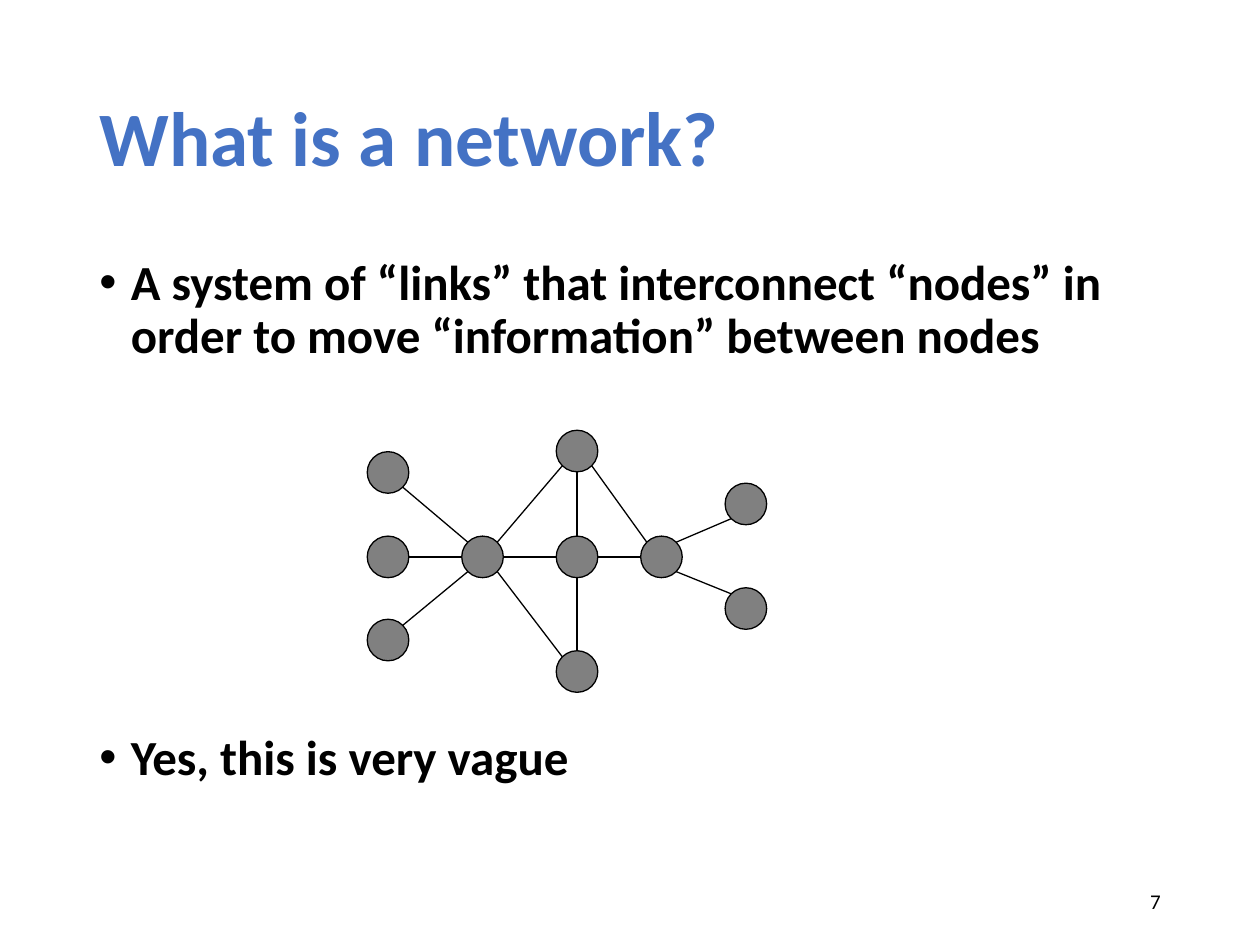
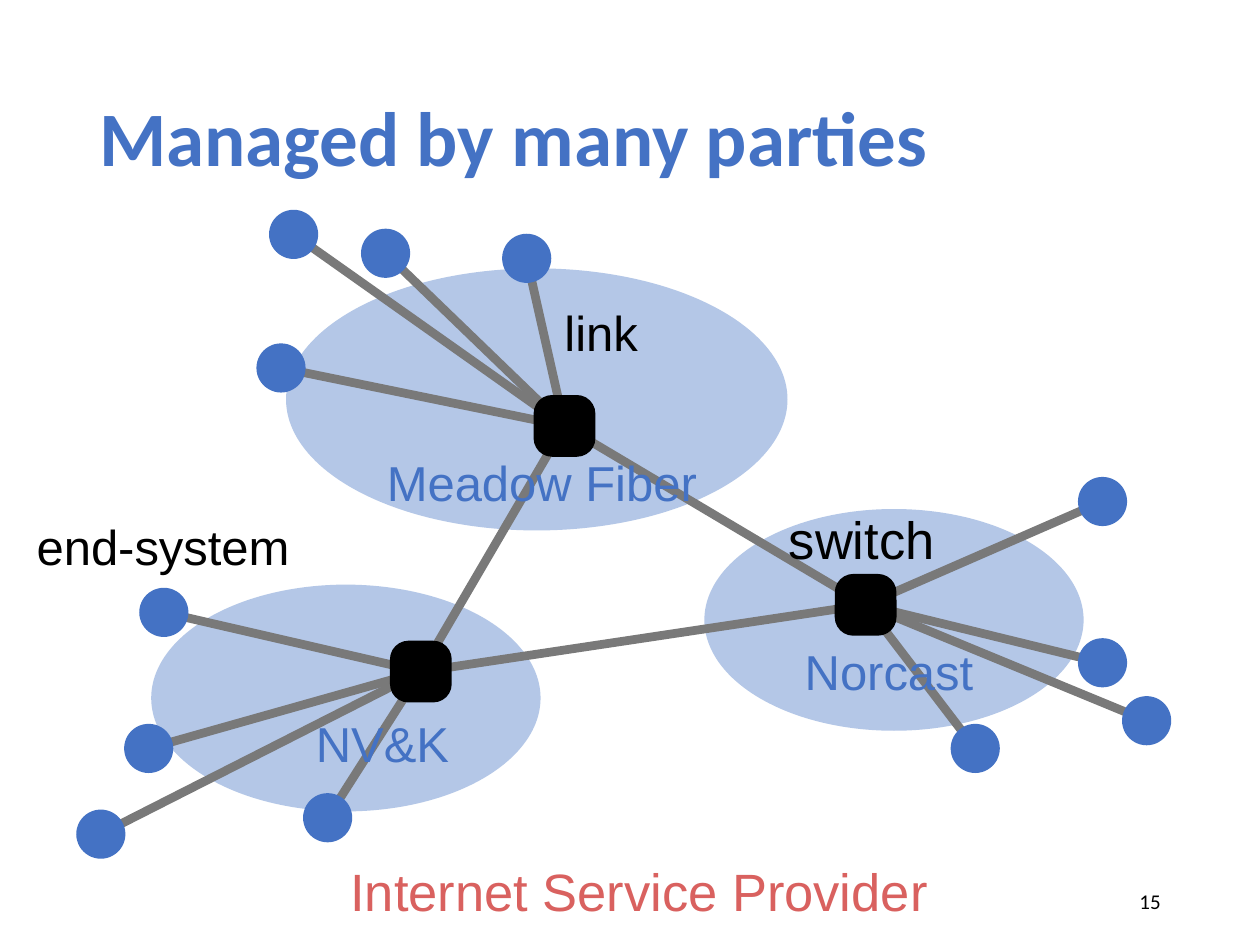
from itertools import combinations
from math import hypot

from lxml import etree
from pptx import Presentation
from pptx.dml.color import RGBColor
from pptx.enum import shapes, text
from pptx.oxml import ns
from pptx.util import Inches, Pt

BLACK, BLUE, PALE_BLUE = "000000", "4472C4", "B4C7E7"
NODE_GRAY, LINK_GRAY, RED = "808080", "797979", "D9615F"
HEADING_FONT, LABEL_FONT = "Calibri", "Arial"

# Slide 1: node centres and the links between them
NODE_SIZE = 0.33
NODES = {
    "top": (4.58, 3.58), "middle": (4.58, 4.42), "bottom": (4.58, 5.33),
    "hub": (3.83, 4.42), "right": (5.25, 4.42),
    "far low": (5.92, 4.83), "far high": (5.92, 4),
    "left high": (3.08, 3.75), "left": (3.08, 4.42), "left low": (3.08, 5.08),
}
LINKS = {
    "hub": ["left high", "left", "left low", "top", "middle", "bottom"],
    "middle": ["top", "bottom", "right"],
    "right": ["top", "far high", "far low"],
}

# Slide 2: one entry per provider, with centres for its switch and end systems
END_SIZE, SWITCH_SIZE = 0.39, 0.49
PROVIDERS = [
    dict(name="Norcast", label=(4.78, 5.05, 4.55, 0.55),
         cloud=(5.59, 4.04, 3.01, 1.76), switch=(6.87, 4.8),
         ends=[(8.75, 3.98), (8.75, 5.26), (9.1, 5.72), (7.74, 5.94)]),
    dict(name="Meadow Fiber", label=(2.11, 3.55, 4.38, 0.55),
         cloud=(2.27, 2.13, 3.98, 2.08), switch=(4.48, 3.38),
         ends=[(2.23, 2.92), (2.33, 1.86), (3.06, 2.01), (4.18, 2.05)]),
    dict(name="NV&K", label=(1.21, 5.62, 3.65, 0.55),
         cloud=(1.2, 4.64, 3.09, 1.8), switch=(3.34, 5.33),
         ends=[(1.3, 4.86), (1.18, 5.94), (0.8, 6.62), (2.6, 6.49)]),
]


def color(value):
    return RGBColor.from_string(value)


def square(center, size):
    """Left, top, width and height of a square around a centre."""
    return center[0] - size / 2, center[1] - size / 2, size, size


def rim_point(center, toward):
    """Nearest of the eight compass points on a node's rim."""
    signs = [(b > a) - (b < a) for a, b in zip(center, toward)]
    reach = NODE_SIZE / 2 / hypot(*signs)
    return [a + sign * reach for a, sign in zip(center, signs)]


class SlideBuilder:
    def __init__(self):
        self.deck = Presentation()
        self.deck.slide_width, self.deck.slide_height = Inches(10), Inches(7.5)
        self.page = None

    def new_page(self, title, number):
        self.page = self.deck.slides.add_slide(self.deck.slide_layouts[6])
        heading = self.text_box(title, (0.69, 0.4, 8.62, 1.45), 44, BLUE,
                                HEADING_FONT, bold=True)
        heading.paragraphs[0].line_spacing = 0.9
        self.text_box(number, (7.06, 6.95, 2.25, 0.4), 12, BLACK, HEADING_FONT,
                      align=text.PP_ALIGN.RIGHT)

    def text_box(self, words, area, size, ink, font, bold=False,
                 align=text.PP_ALIGN.LEFT, anchor=text.MSO_ANCHOR.MIDDLE):
        frame = self.page.shapes.add_textbox(*map(Inches, area)).text_frame
        frame.word_wrap = True
        frame.vertical_anchor = anchor
        frame.text = words
        for paragraph in frame.paragraphs:
            paragraph.alignment = align
            for span in paragraph.runs:
                span.font.name, span.font.size = font, Pt(size)
                span.font.bold, span.font.color.rgb = bold, color(ink)
        return frame

    def label(self, words, area, size=28, ink=BLACK, align=text.PP_ALIGN.LEFT):
        frame = self.text_box(words, area, size, ink, LABEL_FONT, align=align)
        frame.margin_left = frame.margin_right = Inches(0.04)
        frame.margin_top = frame.margin_bottom = Inches(0.04)

    def bullets(self, items, area, gap):
        frame = self.text_box("\n".join(items), area, 28, BLACK, HEADING_FONT,
                              bold=True, anchor=text.MSO_ANCHOR.TOP)
        for index, paragraph in enumerate(frame.paragraphs):
            paragraph.line_spacing = 0.9
            paragraph.space_before = Pt(gap if index else 0)
            properties = paragraph._p.get_or_add_pPr()
            properties.set("marL", str(Inches(0.25)))
            properties.set("indent", str(Inches(-0.25)))
            etree.SubElement(properties, ns.qn("a:buFont"), typeface="Arial")
            etree.SubElement(properties, ns.qn("a:buChar"), char="•")

    def shape(self, kind, area, fill, outline=None):
        shape = self.page.shapes.add_shape(kind, *map(Inches, area))
        shape.shadow.inherit = False
        shape.fill.solid()
        shape.fill.fore_color.rgb = color(fill)
        if outline:
            shape.line.color.rgb, shape.line.width = color(outline), Pt(0.75)
        else:
            shape.line.fill.background()
        return shape

    def oval(self, area, fill, outline=None):
        self.shape(shapes.MSO_SHAPE.OVAL, area, fill, outline)

    def switch(self, center):
        box = self.shape(shapes.MSO_SHAPE.ROUNDED_RECTANGLE,
                         square(center, SWITCH_SIZE), BLACK)
        box.adjustments[0] = 0.3

    def line(self, start, end, ink, width):
        line = self.page.shapes.add_connector(
            shapes.MSO_CONNECTOR.STRAIGHT, *map(Inches, (*start, *end)))
        line.line.color.rgb, line.line.width = color(ink), Pt(width)
        etree.SubElement(line._element.spPr, ns.qn("a:effectLst"))


def network_slide(builder):
    builder.new_page("What is a network?", "7")
    builder.bullets(
        ["A system of “links” that interconnect “nodes” in order to move "
         "“information” between nodes", "Yes, this is very vague"],
        (0.69, 2, 8.62, 4.76), gap=211)
    for center in NODES.values():
        builder.oval(square(center, NODE_SIZE), NODE_GRAY, BLACK)
    for source, targets in LINKS.items():
        for target in targets:
            start, end = NODES[source], NODES[target]
            builder.line(rim_point(start, end), rim_point(end, start), BLACK, 0.75)


def providers_slide(builder):
    builder.new_page("Managed by many parties", "15")
    for provider in PROVIDERS:
        builder.oval(provider["cloud"], PALE_BLUE)
    switches = [provider["switch"] for provider in PROVIDERS]
    for start, end in combinations(switches, 2):
        builder.line(start, end, LINK_GRAY, 5)
    for provider in PROVIDERS:
        for end in provider["ends"]:
            builder.line(provider["switch"], end, LINK_GRAY, 5)
            builder.oval(square(end, END_SIZE), BLUE)
        builder.switch(provider["switch"])
        builder.label(provider["name"], provider["label"], ink=BLUE,
                      align=text.PP_ALIGN.CENTER)
    builder.label("link", (4.44, 2.36, 0.67, 0.55))
    builder.label("switch", (6.22, 3.98, 1.25, 0.58), size=30)
    builder.label("end-system", (0.25, 4.06, 2.28, 0.55))
    builder.label("Internet Service Provider", (2.74, 6.78, 4.81, 0.58), 30, RED)


def main():
    builder = SlideBuilder()
    network_slide(builder)
    providers_slide(builder)
    builder.deck.save("out.pptx")


if __name__ == "__main__":
    main()
